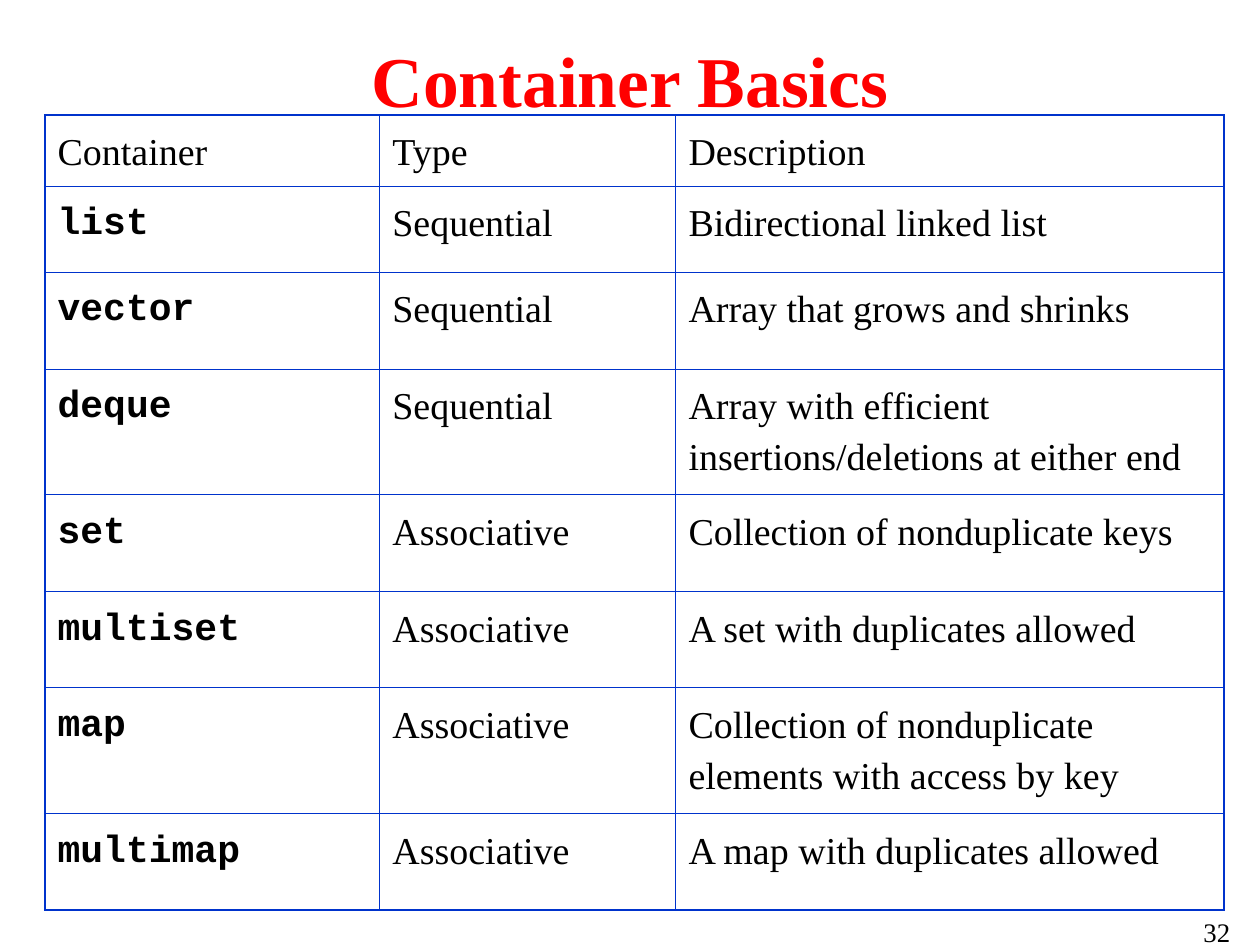
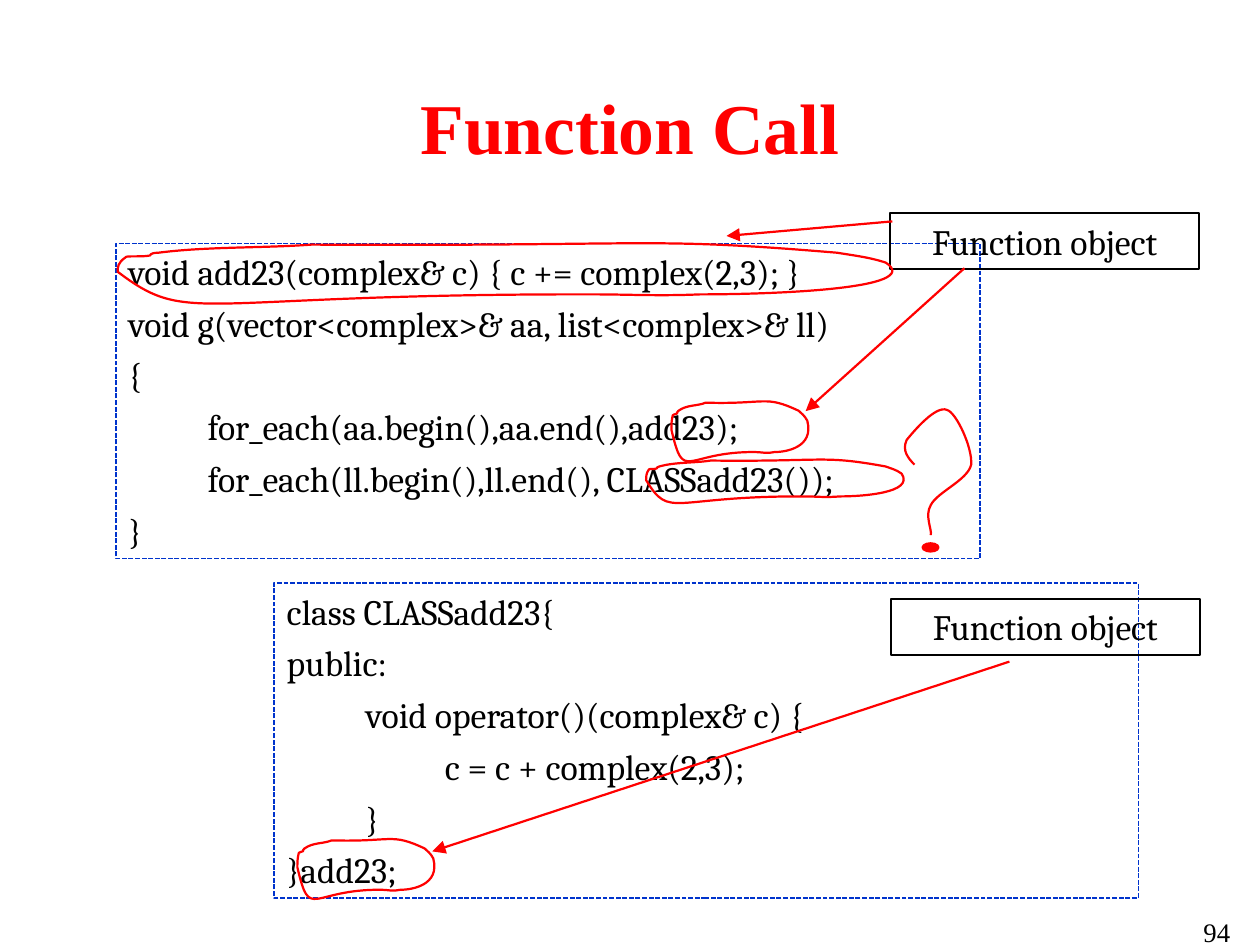
import pptx
import pptx.util
import pptx.dml.color
import pptx.enum.dml
import pptx.enum.shapes
import pptx.enum.text
import pptx.oxml
import pptx.oxml.ns

Cm, Pt = pptx.util.Cm, pptx.util.Pt
ALIGN = pptx.enum.text.PP_ALIGN
ANCHOR = pptx.enum.text.MSO_ANCHOR
SHAPE = pptx.enum.shapes.MSO_SHAPE
NS = pptx.oxml.ns.nsdecls("a")

COLORS = {"title": "FF0000", "text": "000000", "rule": "0033CC", "mark": "FF0000"}
SERIF, CODE, MONO = "Times New Roman", "Cambria", "Courier New"
TITLE = {"size": Pt(32), "name": SERIF, "bold": True}
NUMBER = {"size": Pt(12), "name": SERIF}
BODY = {"size": Pt(17), "name": SERIF}
KEY = {"size": Pt(17), "name": MONO, "bold": True}
LISTING = {"size": Pt(16), "name": CODE}
INSETS = {"margin_left": Cm(0.2), "margin_right": Cm(0.2),
          "margin_top": Cm(0.1), "margin_bottom": Cm(0.1)}
CELL = {**INSETS, "margin_top": Cm(0.13), "margin_bottom": Cm(0.13),
        "vertical_anchor": ANCHOR.TOP}
TAB = 1.25

ROWS = [
    ("Container", "Type", "Description"),
    ("list", "Sequential", "Bidirectional linked list"),
    ("vector", "Sequential", "Array that grows and shrinks"),
    ("deque", "Sequential", "Array with efficient insertions/deletions at either end"),
    ("set", "Associative", "Collection of nonduplicate keys"),
    ("multiset", "Associative", "A set with duplicates allowed"),
    ("map", "Associative", "Collection of nonduplicate elements with access by key"),
    ("multimap", "Associative", "A map with duplicates allowed"),
]
COL_WIDTHS = [5.29, 4.68, 8.66]
ROW_HEIGHTS = [1.12, 1.36, 1.53, 1.97, 1.53, 1.52, 1.98, 1.52]

CALL_CODE = [
    "void add23(complex& c) { c += complex(2,3); }",
    "void g(vector<complex>& aa, list<complex>& ll)",
    "{",
    "\tfor_each(aa.begin(),aa.end(),add23);",
    "\tfor_each(ll.begin(),ll.end(), CLASSadd23());",
    "}",
]
CLASS_CODE = [
    "class CLASSadd23{",
    "public:",
    "\tvoid operator()(complex& c) {",
    "\t\tc = c + complex(2,3);",
    "\t}",
    "}add23;",
]

LOOP = [(0.59, 0.64),
        (0.09, 0.63), (0.09, 1), (0, 0.39),
        (0, 0.34), (0, 0.29), (0.01, 0.23),
        (0.01, 0.21), (0.03, 0.23), (0.04, 0.21),
        (0.04, 0.21), (0.04, 0.18), (0.05, 0.18),
        (0.11, 0.11), (0.18, 0.13), (0.24, 0.09),
        (0.67, 0.11), (0.65, 0), (0.89, 0.18),
        (0.91, 0.21), (0.93, 0.23), (0.95, 0.29),
        (1, 0.59), (0.8, 0.64), (0.72, 0.64),
        (0.67, 0.66), (0.63, 0.64), (0.59, 0.64)]
HOOK = [(0.18, 0.46),
        (0.09, 0.41), (0, 0.35), (0.07, 0.27),
        (0.16, 0.21), (0.48, 0), (0.64, 0.04),
        (0.77, 0.06), (1, 0.33), (0.98, 0.46),
        (0.93, 0.58), (0.5, 0.67), (0.41, 0.77),
        (0.32, 0.85), (0.43, 0.96), (0.41, 1)]


def rgb(key):
    return pptx.dml.color.RGBColor.from_string(COLORS[key])


def apply(obj, values):
    for name, value in values.items():
        setattr(obj, name, value)


def stroke(line, key, width):
    line.color.rgb = rgb(key)
    line.width = Pt(width)


def write(p, text, font, key="text"):
    r = p.add_run()
    r.text = text
    apply(r.font, font)
    r.font.color.rgb = rgb(key)


def text_box(s, box, text, font, key, align, anchor):
    tf = s.shapes.add_textbox(*map(Cm, box)).text_frame
    apply(tf, {**INSETS, "word_wrap": True, "vertical_anchor": anchor})
    tf.paragraphs[0].alignment = align
    write(tf.paragraphs[0], text, font, key)


def base_slide(prs, title, title_box, number):
    s = prs.slides.add_slide(prs.slide_layouts[6])
    text_box(s, (14.66, 14.38, 4.98, 1.04), number, NUMBER, "text", ALIGN.RIGHT, ANCHOR.TOP)
    text_box(s, title_box, title, TITLE, "title", ALIGN.CENTER, ANCHOR.MIDDLE)
    return s


def border(cell, sides):
    tcPr = cell._tc.get_or_add_tcPr()
    for i, (side, width) in enumerate(sides.items()):
        tcPr.insert(i, pptx.oxml.parse_xml(
            f'<a:{side} {NS} w="{Pt(width)}"><a:solidFill>'
            f'<a:srgbClr val="{COLORS["rule"]}"/></a:solidFill></a:{side}>'))


def container_table(s, left, top):
    n_rows, n_cols = len(ROWS), len(COL_WIDTHS)
    table = s.shapes.add_table(n_rows, n_cols, Cm(left), Cm(top),
                               Cm(sum(COL_WIDTHS)), Cm(sum(ROW_HEIGHTS))).table
    apply(table, {"first_row": False, "horz_banding": False})
    for col, width in zip(table.columns, COL_WIDTHS):
        col.width = Cm(width)
    for i, (row, height) in enumerate(zip(table.rows, ROW_HEIGHTS)):
        row.height = Cm(height)
        for j, cell in enumerate(row.cells):
            apply(cell, CELL)
            cell.fill.background()
            p = cell.text_frame.paragraphs[0]
            p.line_spacing = 1.2
            write(p, ROWS[i][j], KEY if i and j == 0 else BODY)
            edges = {"lnL": j == 0, "lnR": j == n_cols - 1,
                     "lnT": i == 0, "lnB": i == n_rows - 1}
            border(cell, {k: 1.08 if outer else 0.45 for k, outer in edges.items()})


def frame(s, box, key, width):
    sp = s.shapes.add_shape(SHAPE.RECTANGLE, *map(Cm, box))
    sp.shadow.inherit = False
    sp.fill.background()
    stroke(sp.line, key, width)
    apply(sp.text_frame, {**INSETS, "word_wrap": True, "vertical_anchor": ANCHOR.TOP})
    return sp


def code_box(s, left, top, lines):
    sp = frame(s, (left, top, 13.66, 4.98), "rule", 0.75)
    sp.line.dash_style = pptx.enum.dml.MSO_LINE.SQUARE_DOT
    tf = sp.text_frame
    stops = "".join(f'<a:tab pos="{Cm(TAB * n)}" algn="l"/>' for n in (1, 2, 3))
    for i, text in enumerate(lines):
        p = tf.add_paragraph() if i else tf.paragraphs[0]
        p.alignment = ALIGN.LEFT
        if i:
            p.space_before = Pt(4)
        p._p.get_or_add_pPr().append(
            pptx.oxml.parse_xml(f"<a:tabLst {NS}>{stops}</a:tabLst>"))
        write(p, text, LISTING)


def arrow(s, start, end):
    c = s.shapes.add_connector(pptx.enum.shapes.MSO_CONNECTOR.STRAIGHT,
                               *map(Cm, (*start, *end)))
    stroke(c.line, "mark", 1)
    c.line._get_or_add_ln().append(
        pptx.oxml.parse_xml(f'<a:tailEnd {NS} type="triangle"/>'))
    c._element.spPr.append(pptx.oxml.parse_xml(f"<a:effectLst {NS}/>"))


def callout(s, left, top, arrows):
    p = frame(s, (left, top, 4.88, 0.89), "text", 1).text_frame.paragraphs[0]
    p.alignment = ALIGN.CENTER
    write(p, "Function object", LISTING)
    for ends in arrows:
        arrow(s, *[(left + x, top + y) for x, y in ends])


def bend(sp):
    segments = list(sp._element.iter(pptx.oxml.ns.qn("a:lnTo")))
    for i in range(0, len(segments), 3):
        cubic = pptx.oxml.parse_xml(f"<a:cubicBezTo {NS}/>")
        segments[i].addprevious(cubic)
        for segment in segments[i:i + 3]:
            cubic.append(segment[0])
            segment.getparent().remove(segment)


def pen_curve(shapes, box, points, close):
    left, top, width, height = box
    pts = [(Cm(left + x * width), Cm(top + y * height)) for x, y in points]
    fb = shapes.build_freeform(*pts[0])
    fb.add_line_segments(pts[1:], close=close)
    sp = fb.convert_to_shape()
    bend(sp)
    sp.shadow.inherit = False
    sp.fill.background()
    stroke(sp.line, "mark", 1)


def question_mark(s, left, top):
    shapes = s.shapes.add_group_shape().shapes
    pen_curve(shapes, (left, top, 1.12, 2.06), HOOK, False)
    dot = shapes.add_shape(SHAPE.OVAL, Cm(left + 0.33), Cm(top + 2.19), Cm(0.25), Cm(0.13))
    dot.shadow.inherit = False
    dot.fill.solid()
    dot.fill.fore_color.rgb = rgb("mark")
    stroke(dot.line, "mark", 1)


def container_slide(prs):
    s = base_slide(prs, "Container Basics", (1.5, 0, 16.92, 2.49), "32")
    container_table(s, 0.71, 1.82)


def call_slide(prs):
    s = base_slide(prs, "Function Call", (0.66, 1.21, 18.6, 1.57), "94")
    code_box(s, 1.83, 3.85, CALL_CODE)
    code_box(s, 4.33, 9.22, CLASS_CODE)
    callout(s, 14.08, 9.47, [((1.87, 0.99), (-7.25, 3.99))])
    callout(s, 14.07, 3.37, [((1.17, 0.87), (-1.34, 3.13)),
                             ((0.03, 0.13), (-2.59, 0.36))])
    for box in [(4.7, 13.16, 2.26, 1.42), (10.61, 6.24, 2.26, 1.42),
                (10.21, 7.19, 4.25, 1.03), (1.86, 3.74, 12.78, 1.43)]:
        pen_curve(s.shapes, box, LOOP, True)
    question_mark(s, 14.25, 6.4)


def main():
    prs = pptx.Presentation()
    apply(prs, {"slide_width": Cm(19.91), "slide_height": Cm(14.94)})
    container_slide(prs)
    call_slide(prs)
    prs.save("out.pptx")


if __name__ == "__main__":
    main()
